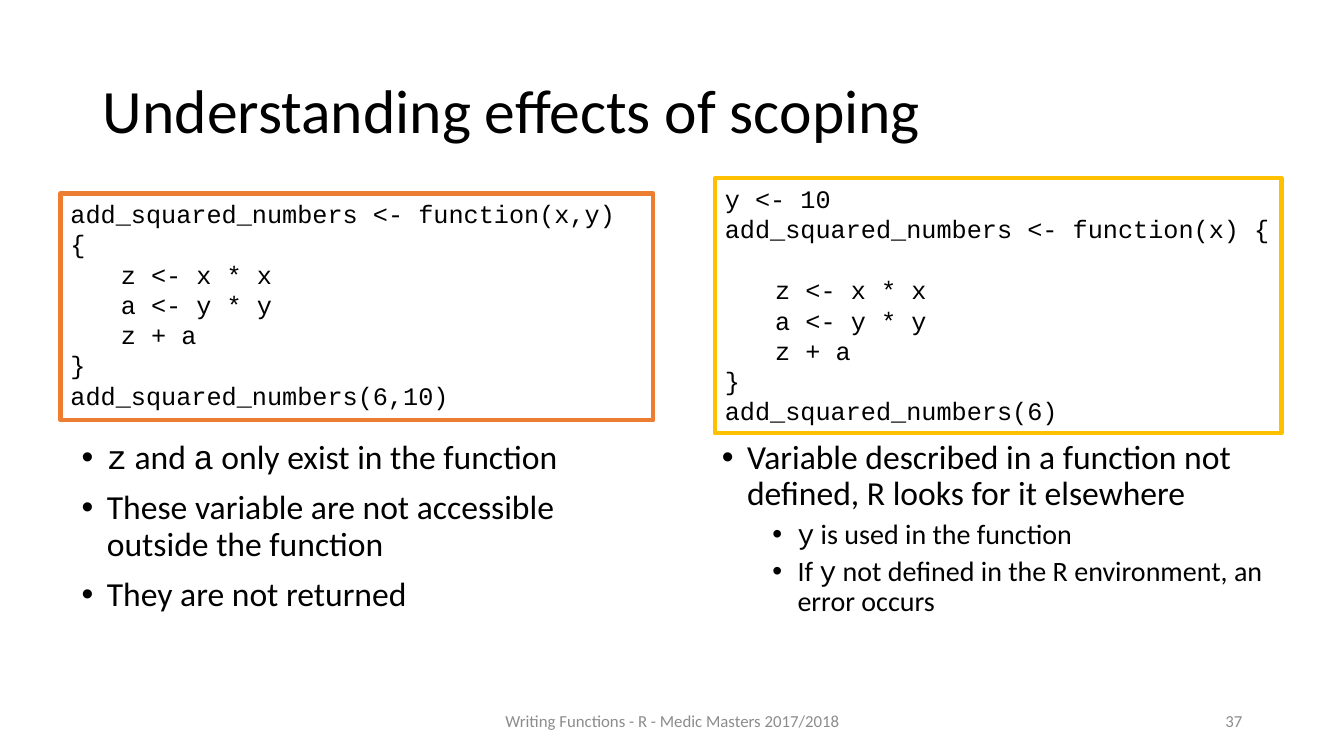
"""Build the slide on the effects of scoping in R functions."""
from dataclasses import dataclass

from lxml.etree import SubElement
from pptx import Presentation
from pptx.dml.color import RGBColor
from pptx.enum.shapes import MSO_SHAPE as Shape
from pptx.enum.text import MSO_ANCHOR as Anchor, MSO_AUTO_SIZE as Fit, PP_ALIGN as Align
from pptx.oxml.ns import qn
from pptx.util import Inches, Pt

SANS, MONO = "Calibri", "Courier New"
BLACK, GREY, WHITE = "000000", "8C8C8C", "FFFFFF"
INDENT = "    "


@dataclass
class Box:
    left: float
    top: float
    width: float
    height: float

    def spot(self) -> list:
        return [Inches(v) for v in (self.left, self.top, self.width, self.height)]


@dataclass
class Code:
    box: Box
    line: str
    rows: list[str]
    gaps: dict[int, float]


@dataclass
class Points:
    box: Box
    rows: list[tuple[int, str]]


@dataclass
class Note:
    box: Box
    text: str
    align: Align


CODES = [
    Code(Box(0.6, 1.92, 5.88, 2.25), "ED7D31",
         ["add_squared_numbers <- function(x,y) {", "    z <- x * x", "    a <- y * y",
          "    z + a", "}", "add_squared_numbers(6,10)"], {}),
    Code(Box(7.09, 1.77, 5.62, 2.53), "FFC000",
         ["y <- 10", "add_squared_numbers <- function(x) {", "    z <- x * x",
          "    a <- y * y", "    z + a", "}", "add_squared_numbers(6)"], {2: 22}),
]
LISTS = [
    Points(Box(0.71, 4.32, 5.67, 2.34),
           [(0, "`z` and `a` only exist in the function"),
            (0, "These variable are not accessible outside the function"),
            (0, "They are not returned")]),
    Points(Box(7.06, 4.32, 5.67, 2.34),
           [(0, "Variable described in a function not defined, R looks for it elsewhere"),
            (1, "`y` is used in the function"),
            (1, "If `y` not defined in the R environment, an error occurs")]),
]
NOTES = [
    Note(Box(4.42, 6.95, 4.5, 0.4), "Writing Functions - R - Medic Masters 2017/2018", Align.CENTER),
    Note(Box(9.42, 6.95, 3, 0.4), "37", Align.RIGHT),
]


def rgb(code: str) -> RGBColor:
    return RGBColor.from_string(code)


def style(font, size: float, color: str, name: str) -> None:
    font.size, font.name = Pt(size), name
    font.color.rgb = rgb(color)


def place(shape, box: Box) -> None:
    shape.left, shape.top, shape.width, shape.height = box.spot()


def indent(para, left: float, first: float = 0):
    props = para._p.get_or_add_pPr()
    props.set("marL", str(Inches(left)))
    props.set("indent", str(Inches(first)))
    return props


def paras(frame, count: int) -> list:
    return [frame.paragraphs[0]] + [frame.add_paragraph() for _ in range(count - 1)]


def draw_title(shape, text: str) -> None:
    place(shape, Box(0.92, 0.4, 11.5, 1.45))
    frame = shape.text_frame
    frame.text, frame.vertical_anchor, frame.auto_size = text, Anchor.MIDDLE, Fit.NONE
    para = frame.paragraphs[0]
    para.alignment, para.line_spacing = Align.LEFT, 0.9
    style(para.font, 44, BLACK, SANS)


def draw_list(shape, points: Points) -> None:
    place(shape, points.box)
    frame = shape.text_frame
    frame.auto_size = Fit.NONE
    for para, (level, text) in zip(paras(frame, len(points.rows)), points.rows):
        para.level, para.line_spacing = level, 0.9
        para.space_before = Pt(5 if level else 10)
        props = indent(para, 0.25 + 0.5 * level, -0.25)
        SubElement(props, qn("a:buFont")).set("typeface", "Arial")
        SubElement(props, qn("a:buChar")).set("char", "•")
        style(para.font, 20 if level else 24, BLACK, SANS)
        for spot, part in enumerate(text.split("`")):
            if part:
                run = para.add_run()
                run.text = part
                if spot % 2:
                    run.font.name = MONO


def draw_code(slide, code: Code) -> None:
    shape = slide.shapes.add_shape(Shape.RECTANGLE, *code.box.spot())
    shape.shadow.inherit = False
    shape.fill.solid()
    shape.fill.fore_color.rgb = rgb(WHITE)
    shape.line.color.rgb = rgb(code.line)
    shape.line.width = Pt(3)
    frame = shape.text_frame
    frame.word_wrap, frame.vertical_anchor = True, Anchor.TOP
    for spot, (para, row) in enumerate(zip(paras(frame, len(code.rows)), code.rows)):
        para.text, para.alignment = row.strip(), Align.LEFT
        para.space_before = Pt(code.gaps.get(spot, 0))
        if row.startswith(INDENT):
            indent(para, 0.5)
        style(para.font, 18, BLACK, MONO)


def draw_note(slide, note: Note) -> None:
    frame = slide.shapes.add_textbox(*note.box.spot()).text_frame
    frame.word_wrap, frame.vertical_anchor = True, Anchor.MIDDLE
    para = frame.paragraphs[0]
    para.text, para.alignment = note.text, note.align
    style(para.font, 12, GREY, SANS)


def main() -> None:
    deck = Presentation()
    deck.slide_width, deck.slide_height = Inches(13.33), Inches(7.5)
    slide = deck.slides.add_slide(deck.slide_layouts[3])
    title, *bodies = slide.placeholders
    draw_title(title, "Understanding effects of scoping")
    for body, points in zip(bodies, LISTS):
        draw_list(body, points)
    for note in NOTES:
        draw_note(slide, note)
    for code in CODES:
        draw_code(slide, code)
    deck.save("out.pptx")


if __name__ == "__main__":
    main()
